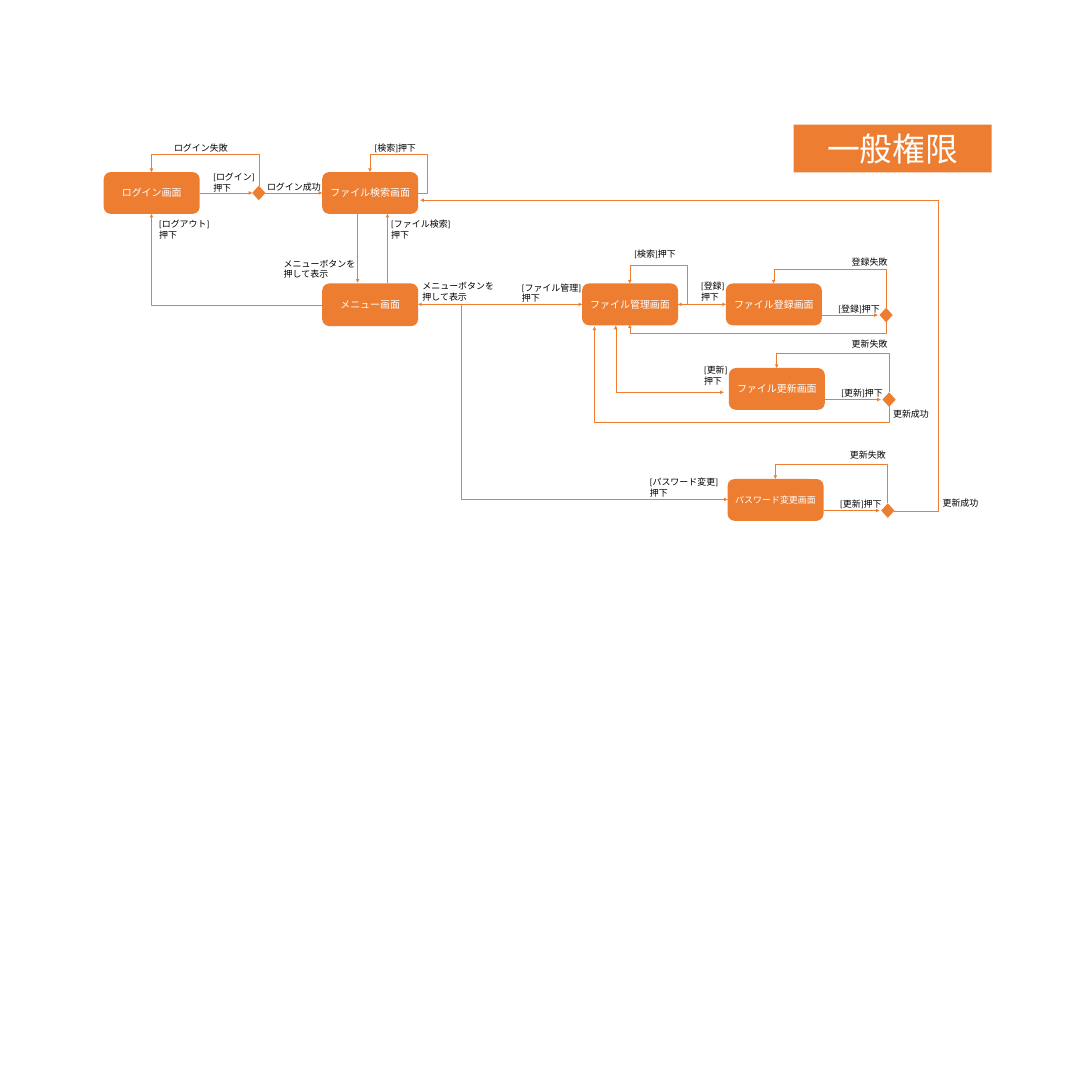
from lxml.etree import SubElement
from pptx import Presentation
from pptx.dml.color import RGBColor
from pptx.enum.shapes import MSO_CONNECTOR as Link, MSO_SHAPE as Form
from pptx.enum.text import MSO_ANCHOR as Anchor, MSO_AUTO_SIZE as Fit, PP_ALIGN as Align
from pptx.oxml.ns import qn
from pptx.util import Inches, Pt

ORANGE = RGBColor(0xED, 0x7D, 0x31)
WHITE = RGBColor(0xFF, 0xFF, 0xFF)
BLACK = RGBColor(0, 0, 0)

COLS, ROWS = 25.59, 25.04
WIDE, HIGH = 2.25, 0.98
MID_X, MID_Y = 1.12, 0.49
GEM_W, GEM_H = 0.31, 0.34


def write(frame, text, size=15.1, color=BLACK, align=Align.LEFT, anchor=Anchor.TOP):
    """Fill a text frame, one paragraph per line of text."""
    frame.word_wrap = True
    frame.vertical_anchor = anchor
    frame.text = text
    for para in frame.paragraphs:
        para.alignment = align
        para.font.name = "Calibri"
        para.font.size = Pt(size)
        para.font.color.rgb = color


class Chart:
    """Draws on one slide, in grid cells of one inch."""

    def __init__(self, deck):
        self.cell = Inches(1)
        deck.slide_width, deck.slide_height = self.grid(COLS, ROWS)
        self.slide = deck.slides.add_slide(deck.slide_layouts[5])
        self.shapes = self.slide.shapes

    def grid(self, *cells):
        return [round(n * self.cell) for n in cells]

    def title(self, text, x, y, w, h):
        head = self.shapes.title
        head.left, head.top, head.width, head.height = self.grid(x, y, w, h)
        head.fill.solid()
        head.fill.fore_color.rgb = ORANGE
        write(head.text_frame, text, size=55.3, color=WHITE,
              align=Align.CENTER, anchor=Anchor.MIDDLE)
        head.text_frame.auto_size = Fit.NONE

    def block(self, form, x, y, w, h):
        shape = self.shapes.add_shape(form, *self.grid(x, y, w, h))
        shape.shadow.inherit = False
        shape.fill.solid()
        shape.fill.fore_color.rgb = ORANGE
        shape.line.fill.background()
        return shape

    def screen(self, text, x, y, size=16.8, h=HIGH):
        shape = self.block(Form.ROUNDED_RECTANGLE, x, y, WIDE, h)
        write(shape.text_frame, text, size=size, color=WHITE,
              align=Align.CENTER, anchor=Anchor.MIDDLE)

    def gem(self, x, y):
        self.block(Form.DIAMOND, x, y, GEM_W, GEM_H)

    def label(self, text, x, y, w=1.66, h=0.36):
        box = self.shapes.add_textbox(*self.grid(x, y, w, h))
        write(box.text_frame, text)

    def arrow(self, *points, both=False):
        """Join points by one connector whose legs turn at right angles."""
        (x1, y1), (x2, y2) = points[0], points[-1]
        legs = len(points) - 1
        if legs == 1:
            line = self.shapes.add_connector(Link.STRAIGHT, *self.grid(x1, y1, x2, y2))
        else:
            line = self.bend(points, legs)
        line.line.color.rgb = ORANGE
        line.line.width = Pt(0.5)
        props = line._element.spPr
        stroke = props.find(qn("a:ln"))
        for end in ("headEnd", "tailEnd") if both else ("tailEnd",):
            SubElement(stroke, qn("a:" + end), type="triangle")
        SubElement(props, qn("a:effectLst"))

    def bend(self, points, legs):
        (x1, y1), (x2, y2) = points[0], points[-1]
        dx, dy = x2 - x1, y2 - y1
        upright = points[1][0] == x1
        if upright:
            w, h = abs(dy), abs(dx)
            turn = 90 if dy > 0 else 270
            flip_x, flip_y = False, (dx > 0) == (dy > 0)
        else:
            w, h, turn = abs(dx), abs(dy), 0
            flip_x, flip_y = dx < 0, dy < 0
        left, top = (x1 + x2 - w) / 2, (y1 + y2 - h) / 2
        xs = (left + w, left) if flip_x else (left, left + w)
        ys = (top + h, top) if flip_y else (top, top + h)
        line = self.shapes.add_connector(
            Link.ELBOW, *self.grid(xs[0], ys[0], xs[1], ys[1]))
        props = line._element.spPr
        if turn:
            props.find(qn("a:xfrm")).set("rot", str(turn * 60000))
        shape = props.find(qn("a:prstGeom"))
        shape.set("prst", f"bentConnector{legs}")
        guides = shape.find(qn("a:avLst"))
        for i in range(1, legs - 1):
            axis = (i + 1 + upright) % 2
            share = (points[i][axis] - points[0][axis]) / (dx, dy)[axis]
            SubElement(guides, qn("a:gd"), name=f"adj{i}",
                       fmla=f"val {round(share * 100000)}")
        return line

    def search(self, x, y, rise):
        """Loop from a screen's right side back to its top."""
        side, peak = x + WIDE, y - 0.42
        self.arrow((side, y + MID_Y), (side + 0.21, y + MID_Y), (side + 0.21, peak),
                   (x + MID_X, peak), (x + MID_X, y))
        self.label("[検索]押下", x + 1.13, y - rise)

    def submit(self, name, verb, x, y, fail, size=16.8):
        """Screen with its check and the path back on failure."""
        self.screen(name, x, y, size)
        self.gem(x + 3.6, y + 0.57)
        self.arrow((x + WIDE, y + 0.74), (x + 3.56, y + 0.74))
        self.arrow((x + 3.75, y + 0.57), (x + 3.75, y - 0.34),
                   (x + MID_X, y - 0.34), (x + MID_X, y))
        self.label(f"[{verb}]押下", x + 2.54, y + 0.41)
        self.label(f"{verb}失敗", *fail)


def main():
    deck = Presentation()
    c = Chart(deck)
    c.title("一般権限", 18.6, 2.92, 4.64, 1.12)

    c.screen("ログイン画面", 2.43, 4.03)
    c.screen("ファイル検索画面", 7.55, 4.03)
    c.screen("メニュー画面", 7.55, 6.64, h=1)
    c.screen("ファイル管理画面", 13.64, 6.64)
    c.gem(5.91, 4.35)
    c.search(7.55, 4.03, 0.74)
    c.search(13.64, 6.64, 0.86)

    for name, verb, x, y, fail, size in (
        ("ファイル登録画面", "登録", 17.01, 6.64, (19.86, 5.97), 16.8),
        ("ファイル更新画面", "更新", 17.08, 8.62, (19.86, 7.88), 16.8),
        ("パスワード変更画面", "更新", 17.05, 11.22, (19.82, 10.49), 15.1),
    ):
        c.submit(name, verb, x, y, fail, size)

    for path in (
        ((6.07, 4.35), (6.07, 3.6), (3.55, 3.6), (3.55, 4.03)),
        ((4.68, 4.52), (5.91, 4.52)),
        ((6.22, 4.52), (7.55, 4.52)),
        ((8.38, 5.01), (8.38, 6.62)),
        ((9.08, 6.62), (9.08, 5.01)),
        ((7.55, 7.14), (3.55, 7.14), (3.55, 5.01)),
        ((10.8, 7.14), (10.8, 11.7), (17.05, 11.7)),
        ((20.76, 7.53), (20.76, 7.81), (14.76, 7.81), (14.76, 7.6)),
        ((20.83, 9.37), (20.83, 9.88), (13.93, 9.88), (13.93, 7.65)),
        ((20.95, 11.97), (21.99, 11.97), (21.99, 4.69), (9.85, 4.69)),
    ):
        c.arrow(*path)
    for path in (
        ((9.8, 7.13), (13.64, 7.13)),
        ((15.89, 7.13), (17.01, 7.13)),
        ((14.43, 7.63), (14.43, 9.19), (16.96, 9.19)),
    ):
        c.arrow(*path, both=True)

    for text, x, y in (
        ("ログイン失敗", 3.98, 3.29),
        ("ログイン成功", 6.16, 4.2),
        ("更新成功", 20.83, 9.52),
        ("更新成功", 21.99, 11.61),
    ):
        c.label(text, x, y)
    for key, x, y, w in (
        ("ログイン", 4.9, 3.97, 1.66),
        ("ログアウト", 3.63, 5.07, 1.66),
        ("ファイル検索", 9.07, 5.08, 1.66),
        ("ファイル管理", 12.13, 6.56, 1.66),
        ("登録", 16.33, 6.52, 1.66),
        ("更新", 16.4, 8.5, 1.66),
        ("パスワード変更", 15.13, 11.12, 1.99),
    ):
        c.label(f"[{key}]\n押下", x, y, w, 0.61)
    for x, y in ((6.55, 6), (9.8, 6.53)):
        c.label("メニューボタンを押して表示", x, y, 2.01, 0.61)

    deck.save("out.pptx")


if __name__ == "__main__":
    main()
